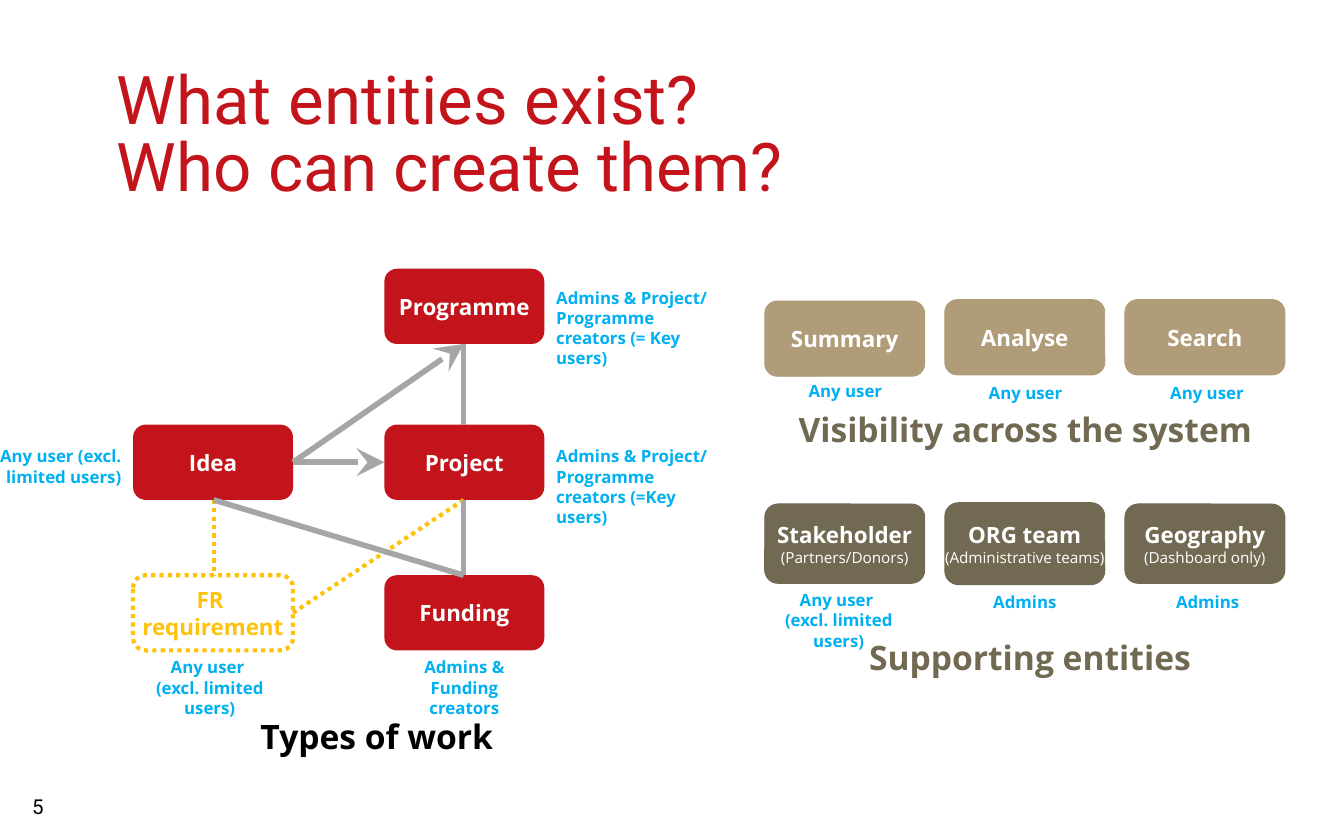
from pptx import Presentation
from pptx.dml.color import RGBColor
from pptx.enum.dml import MSO_LINE
from pptx.enum.shapes import MSO_CONNECTOR, MSO_SHAPE
from pptx.enum.text import MSO_ANCHOR, MSO_AUTO_SIZE, PP_ALIGN
from pptx.oxml.ns import qn
from pptx.util import Pt
from lxml.etree import SubElement

PX = 9144  # 100 px to the inch
THEME = {
    "title": RGBColor.from_string("C4141B"),
    "work": RGBColor.from_string("C3141B"),
    "visibility": RGBColor.from_string("B09C78"),
    "support": RGBColor.from_string("716951"),
    "requirement": RGBColor.from_string("FFC20C"),
    "link": RGBColor.from_string("A6A6A6"),
    "creator": RGBColor.from_string("00B0F0"),
    "white": RGBColor.from_string("FFFFFF"),
    "black": RGBColor.from_string("000000"),
    "body_font": "Open Sans",
    "title_font": "Roboto",
    "title_size": 36,
    "heading_size": 18,
    "entity_size": 12,
    "number_size": 11,
    "creator_size": 9,
    "detail_size": 8.2,
}
LEFT, CENTER, RIGHT = PP_ALIGN.LEFT, PP_ALIGN.CENTER, PP_ALIGN.RIGHT

prs = Presentation()
prs.slide_width, prs.slide_height = 1000 * PX, 625 * PX
slide = prs.slides.add_slide(prs.slide_layouts[6])


def write(frame, lines, align, frame_format):
    """Fill a text frame; each line is (text, size, colour, bold, font)."""
    for name, value in frame_format.items():
        setattr(frame, name, value)
    for index, (text, size, color, bold, font) in enumerate(lines):
        paragraph = frame.paragraphs[0] if index == 0 else frame.add_paragraph()
        paragraph.text = text
        paragraph.alignment = align
        for run in paragraph.runs:
            for name, value in {"size": Pt(size), "bold": bold, "name": font}.items():
                setattr(run.font, name, value)
            run.font.color.rgb = color


def add_label(box, texts, size, color, align=CENTER, bold=True, font=THEME["body_font"]):
    label = slide.shapes.add_textbox(*(v * PX for v in box))
    write(label.text_frame, [(text, size, color, bold, font) for text in texts], align,
          {"word_wrap": True, "auto_size": MSO_AUTO_SIZE.SHAPE_TO_FIT_TEXT})
    return label


# Title and slide number
title = add_label((87, 52, 826, 98), ["What entities exist?\vWho can create them?"],
                  THEME["title_size"], THEME["title"], LEFT, False, THEME["title_font"])
title.text_frame.paragraphs[0].line_spacing = Pt(36.2)
for margin, value in {"margin_left": 0, "margin_top": 0,
                      "margin_right": 4 * PX, "margin_bottom": 0}.items():
    setattr(title.text_frame, margin, value)
add_label((14, 586, 300, 40), ["5"], THEME["number_size"], THEME["black"],
          LEFT, False, THEME["title_font"])

# Entity boxes: columns and rows of both halves
IDEA_X, PROJECT_X = 99, 286
PROGRAMME_Y, PROJECT_Y, FUNDING_Y = 200, 316, 428
BOX_W, BOX_H = 119, 56
column_x = [569 + 134 * column for column in range(3)]
entities = [
    (PROJECT_X, PROGRAMME_Y, BOX_H, "work", ["Programme"]),
    (PROJECT_X, PROJECT_Y, BOX_H, "work", ["Project"]),
    (IDEA_X, PROJECT_Y, BOX_H, "work", ["Idea"]),
    (PROJECT_X, FUNDING_Y, BOX_H, "work", ["Funding"]),
    (IDEA_X, FUNDING_Y, BOX_H, "requirement", ["FR ", "requirement"]),
    (column_x[0], 224, BOX_H, "visibility", ["Summary"]),
    (column_x[1], 223, BOX_H, "visibility", ["Analyse"]),
    (column_x[2], 223, BOX_H, "visibility", ["Search"]),
    (column_x[0], 375, 59, "support", ["Stakeholder", "(Partners/Donors)"]),
    (column_x[1], 374, 61, "support", ["ORG team", "(Administrative teams)"]),
    (column_x[2], 375, 59, "support", ["Geography", "(Dashboard only)"]),
]
for x, y, height, group, texts in entities:
    entity = slide.shapes.add_shape(MSO_SHAPE.ROUNDED_RECTANGLE,
                                    x * PX, y * PX, BOX_W * PX, height * PX)
    entity.shadow.inherit = False
    outlined = group == "requirement"
    if outlined:
        entity.fill.background()
    else:
        entity.fill.solid()
        entity.fill.fore_color.rgb = THEME[group]
    if group == "work":
        entity.line.fill.background()
    else:
        entity.line.color.rgb = THEME[group]
        entity.line.width = Pt(2.25 if outlined else 0.5)
    if outlined:
        entity.line.dash_style = MSO_LINE.ROUND_DOT
    lines = []
    for text in texts:
        detail = text.startswith("(")
        lines.append((text, THEME["detail_size" if detail else "entity_size"],
                      THEME[group if outlined else "white"], not detail, THEME["body_font"]))
    write(entity.text_frame, lines, CENTER,
          {"vertical_anchor": MSO_ANCHOR.MIDDLE, "word_wrap": False,
           "margin_left": 7 * PX, "margin_right": 7 * PX,
           "margin_top": 4 * PX, "margin_bottom": 4 * PX})

# Links between types of work
idea_bottom = (159, PROJECT_Y + BOX_H)
idea_right = (IDEA_X + BOX_W, PROJECT_Y + BOX_H // 2)
programme_bottom = (345, PROGRAMME_Y + BOX_H)
project_bottom = (345, PROJECT_Y + BOX_H)
funding_top = (345, FUNDING_Y)
links = [
    (project_bottom, (IDEA_X + BOX_W, FUNDING_Y + BOX_H // 2), "requirement", False),
    (idea_bottom, (159, FUNDING_Y), "requirement", False),
    (programme_bottom, (345, PROJECT_Y), "link", False),
    (project_bottom, funding_top, "link", False),
    (idea_bottom, funding_top, "link", False),
    (idea_right, (PROJECT_X, idea_right[1]), "link", True),
    (idea_right, programme_bottom, "link", True),
]
for start, end, color, arrow in links:
    link = slide.shapes.add_connector(MSO_CONNECTOR.STRAIGHT,
                                      *(v * PX for v in start + end))
    link.line.color.rgb = THEME[color]
    link.line.width = Pt(3 if color == "link" else 2.25)
    if color == "requirement":
        link.line.dash_style = MSO_LINE.ROUND_DOT
    properties = link.element.spPr
    if arrow:
        SubElement(properties.find(qn("a:ln")), qn("a:tailEnd"),
                   {"type": "stealth", "w": "lg", "len": "lg"})
    SubElement(properties, qn("a:effectLst"))

# Group headings
for box, heading, color, align in [
    ((184, 528, 203, 40), "Types of work", "black", LEFT),
    ((583, 299, 360, 40), "Visibility across the system", "support", CENTER),
    ((628, 469, 277, 40), "Supporting entities", "support", CENTER),
]:
    add_label(box, [heading], THEME["heading_size"], THEME[color], align)

# Who can create each entity
any_but_limited = ["Any user ", "(excl. limited users)"]
creators = [
    ((560, 278, 138, 25), ["Any user"], CENTER),
    ((694, 280, 138, 25), ["Any user"], CENTER),
    ((829, 280, 138, 25), ["Any user"], CENTER),
    ((562, 434, 124, 56), any_but_limited, CENTER),
    ((703, 435, 119, 25), ["Admins"], CENTER),
    ((839, 435, 119, 25), ["Admins"], CENTER),
    ((94, 484, 124, 56), any_but_limited, CENTER),
    ((286, 484, 119, 40), ["Admins & Funding creators"], CENTER),
    ((404, 209, 132, 71), ["Admins & Project/ Programme creators (= Key users)"], LEFT),
    ((404, 327, 132, 71), ["Admins & Project/ Programme creators (=Key users)"], LEFT),
    ((-24, 327, 124, 40), ["Any user (excl. limited users)"], RIGHT),
]
for box, texts, align in creators:
    add_label(box, texts, THEME["creator_size"], THEME["creator"], align)

prs.save("out.pptx")
